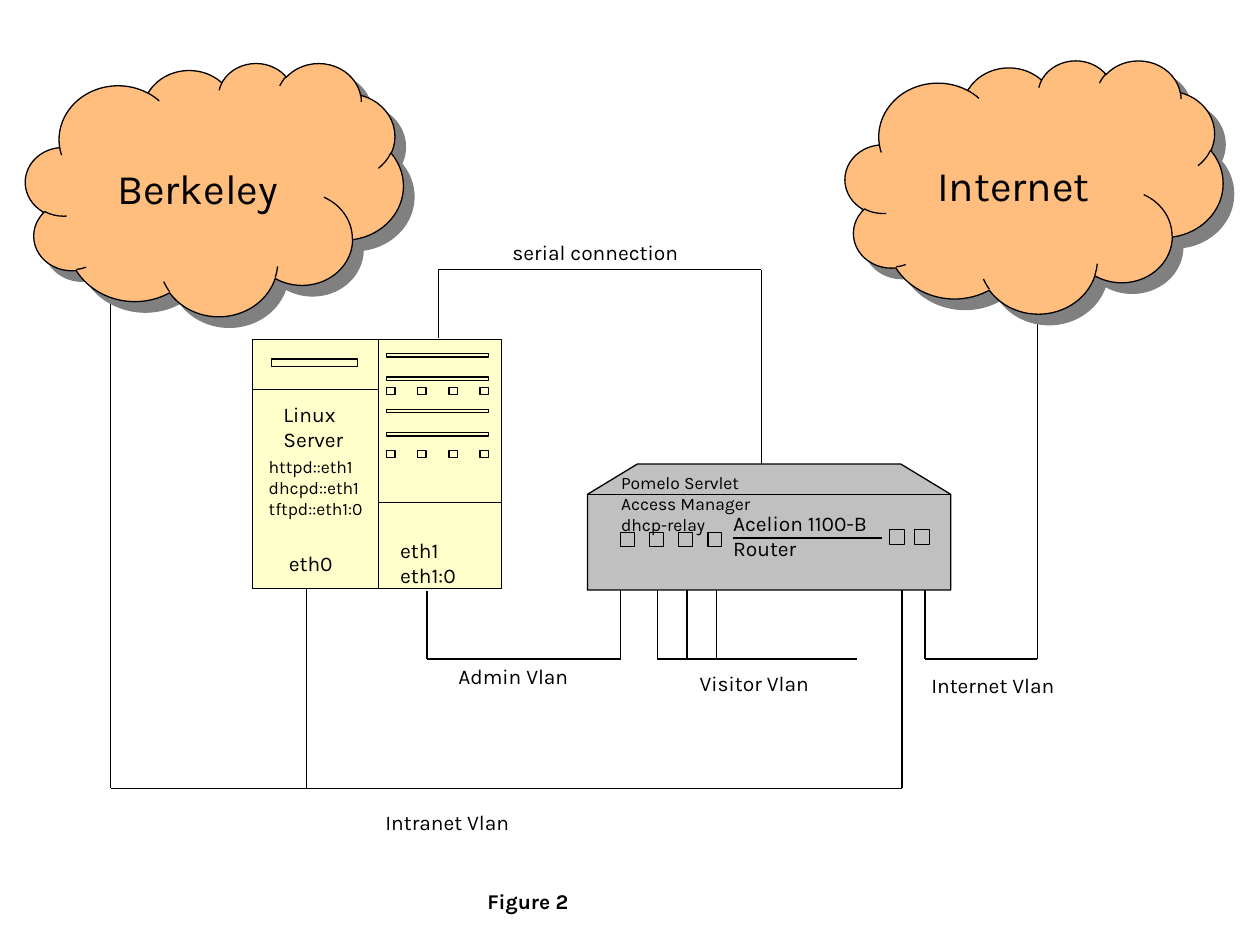
from itertools import pairwise

from lxml import etree
from pptx import Presentation
from pptx.dml.color import RGBColor
from pptx.enum.shapes import MSO_CONNECTOR, MSO_SHAPE
from pptx.enum.text import MSO_AUTO_SIZE
from pptx.oxml.ns import qn
from pptx.util import Pt

RECT, CLOUD = MSO_SHAPE.RECTANGLE, MSO_SHAPE.CLOUD
STRAIGHT = MSO_CONNECTOR.STRAIGHT
FIT = MSO_AUTO_SIZE.SHAPE_TO_FIT_TEXT
FONT = "Karla"
COLORS = {"ink": "000000", "cloud": "FFBE7D", "server": "FFFFCC",
          "router": "C0C0C0", "shadow": "808080"}


def rgb(name):
    """Return the named colour."""
    return RGBColor.from_string(COLORS[name])


def paint(sp, fill):
    """Give a shape its fill and a thin black outline."""
    sp.shadow.inherit = False
    sp.fill.solid()
    sp.fill.fore_color.rgb = rgb(fill)
    sp.line.color.rgb = rgb("ink")
    sp.line.width = Pt(0.75)


def add_preset(s, kind, x, y, w, h, fill):
    """Add a painted preset shape."""
    sp = s.shapes.add_shape(kind, Pt(x), Pt(y), Pt(w), Pt(h))
    paint(sp, fill)
    return sp


def add_wire(s, points):
    """Join successive points with straight black lines."""
    for (x1, y1), (x2, y2) in pairwise(points):
        cx = s.shapes.add_connector(STRAIGHT, Pt(x1), Pt(y1), Pt(x2), Pt(y2))
        cx.line.color.rgb = rgb("ink")
        cx.line.width = Pt(0.75)
        etree.SubElement(cx._element.spPr, qn("a:effectLst"))


def add_label(s, x, y, w, h, text, size=12, bold=False):
    """Add unwrapped text, one paragraph a line."""
    tf = s.shapes.add_textbox(Pt(x), Pt(y), Pt(w), Pt(h)).text_frame
    tf.word_wrap = False
    tf.auto_size = FIT
    tf.text = text
    for p in tf.paragraphs:
        for r in p.runs:
            r.font.name = FONT
            r.font.size = Pt(size)
            r.font.bold = bold
            r.font.color.rgb = rgb("ink")


def add_cloud(s, x, y, w, h, text, text_x, text_w):
    """Draw a network cloud with a hard shadow and its name."""
    sp = add_preset(s, CLOUD, x, y, w, h, "cloud")
    effects = sp._element.spPr.find(qn("a:effectLst"))
    shadow = etree.SubElement(effects, qn("a:outerShdw"), dist=str(Pt(8.5)),
                              dir="2700000", algn="ctr", rotWithShape="0")
    etree.SubElement(shadow, qn("a:srgbClr"), val=COLORS["shadow"])
    add_label(s, x + text_x, y + 53.5, text_w, 36, text, 24)


def add_server(s, x, y, w, h):
    """Draw the server tower with its drives, lights and services."""
    add_preset(s, RECT, x, y, w, h, "server")
    middle = x + 71.8
    add_wire(s, [(middle, y), (middle, y + h)])
    add_wire(s, [(x, y + 28.6), (middle, y + 28.6)])
    add_wire(s, [(middle, y + 93.4), (x + w, y + 93.4)])
    add_preset(s, RECT, x + 10.8, y + 11.3, 49, 4.3, "server")
    for top in (8.2, 21.6, 40.1, 53.3):
        add_preset(s, RECT, x + 76.7, y + top, 58.3, 1.9, "server")
    for top in (27.6, 63.6):
        for i in range(4):
            add_preset(s, RECT, x + 76.7 + 17.8 * i, y + top, 4.7, 4, "server")
    add_label(s, x + 13.7, y + 117.4, 39.6, 21.6, "eth0")
    add_label(s, x + 77.3, y + 109.7, 49.7, 36, "eth1\neth1:0")
    add_label(s, x + 2.2, y + 63.2, 72, 43.2,
              "httpd::eth1\ndhcpd::eth1\ntftpd::eth1:0", 10)
    add_label(s, x + 10.6, y + 32.2, 50.4, 36, "Linux\nServer")


def add_router(s, x, y, w, h):
    """Draw the router with its ports and captions."""
    slope, rim = 28.5, 17.3
    outline = [(0, rim), (slope, 0), (w - slope, 0), (w, rim), (w, h), (0, h)]
    start, *rest = [(Pt(px), Pt(py)) for px, py in outline]
    fb = s.shapes.build_freeform(*start)
    fb.add_line_segments(rest, close=True)
    paint(fb.convert_to_shape(Pt(x), Pt(y)), "router")
    add_wire(s, [(x, y + 17.3), (x + w, y + 17.3)])
    for i in range(4):
        add_preset(s, RECT, x + 19 + 16.6 * i, y + 39.2, 7.9, 7.9, "router")
    for i in range(2):
        add_preset(s, RECT, x + 172.6 + 14.4 * i, y + 37.2, 8.6, 8.6, "router")
    add_label(s, x + 76.1, y + 23, 97.2, 36, "Acelion 1100-B\nRouter")
    add_wire(s, [(x + 83.3, y + 42.2), (x + 168.3, y + 42.2)])
    add_label(s, x + 12.1, y + 0.9, 90, 43.2,
              "Pomelo Servlet\nAccess Manager\ndhcp-relay", 10)


def add_network(s, x, y, w, h):
    """Draw the cables of each VLAN and the serial link."""
    right, bottom = x + w, y + h
    bus, under, last_port = 376.5, 337, 409.5
    add_wire(s, [(x, 168), (x, bottom), (515.5, bottom), (515.5, under)])
    add_wire(s, [(175.2, bottom), (175.2, 332)])
    add_wire(s, [(528.5, under), (528.5, bus), (right, bus), (right, 183)])
    for port in (375.6, 392.6, last_port):
        add_wire(s, [(port, under), (port, bus)])
    add_wire(s, [(375.6, bus), (last_port, bus), (489.6, bus)])
    add_wire(s, [(250.5, 193), (250.5, y), (435, y), (435, 270)])
    add_wire(s, [(244, 337.7), (244, bus), (354.6, bus), (354.6, 334.8)])


def add_captions(s, x, y):
    """Name the links and the figure, placed from the serial caption."""
    captions = [("serial connection", 0, 0, 110.2),
                ("Intranet Vlan", -72.7, 325.8, 87.8),
                ("Admin Vlan", -31, 242.6, 78.5),
                ("Visitor Vlan", 106.9, 246.2, 77.8),
                ("Internet Vlan", 239.3, 247.7, 87.8)]
    for text, dx, dy, w in captions:
        add_label(s, x + dx, y + dy, w, 21.6, text)
    add_label(s, x - 14.4, y + 370.8, 62.6, 21.6, "Figure 2", bold=True)


def main():
    """Build the network diagram slide."""
    prs = Presentation()
    prs.slide_width, prs.slide_height = Pt(720), Pt(540)
    s = prs.slides.add_slide(prs.slide_layouts[6])
    add_network(s, 63.2, 154.2, 529.5, 296.2)
    add_server(s, 144.3, 193.9, 142.4, 142.4)
    add_cloud(s, 14.6, 35.8, 215.9, 144.7, "Berkeley", 45.2, 111.6)
    add_cloud(s, 483, 34.3, 215.9, 144.7, "Internet", 45.4, 106.6)
    add_router(s, 335.7, 265.2, 207.6, 72)
    add_captions(s, 285.8, 133.2)
    prs.save("out.pptx")


if __name__ == "__main__":
    main()
